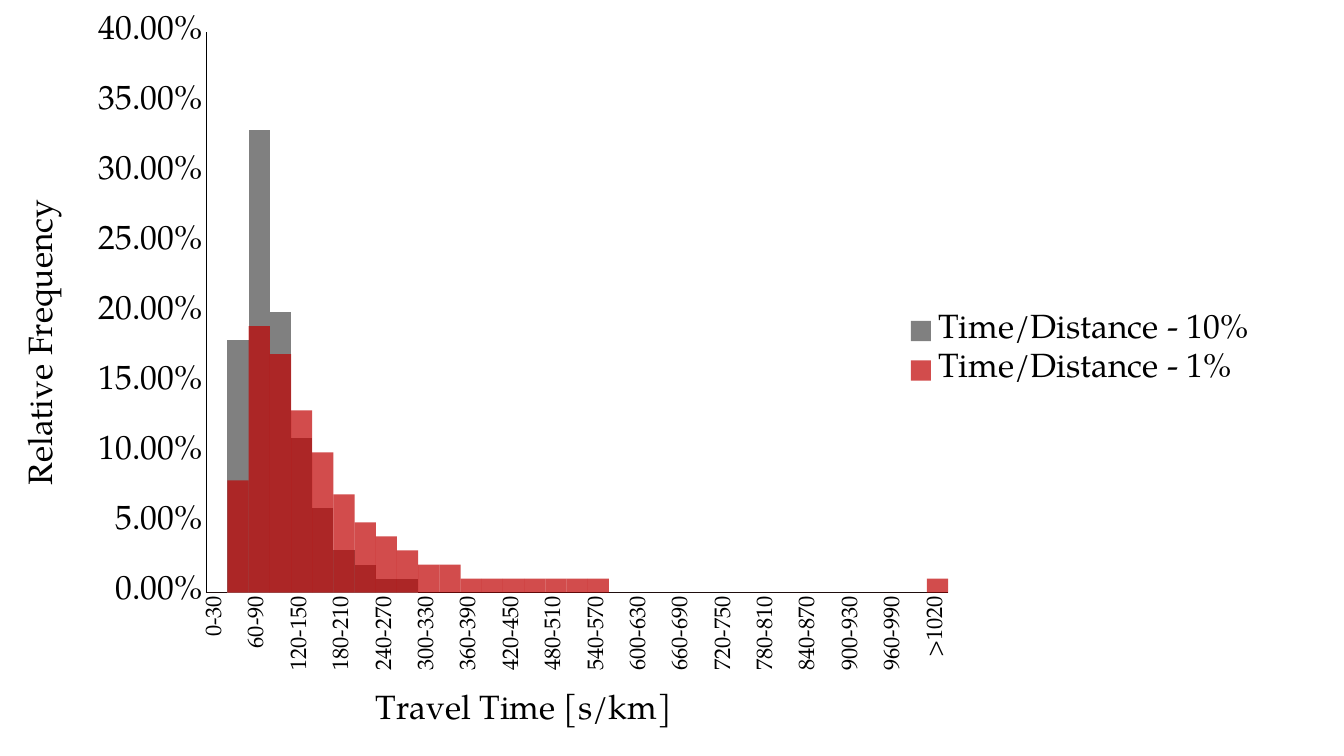
from dataclasses import dataclass

from lxml import etree
from pptx import Presentation
from pptx import util as u
from pptx.chart.data import CategoryChartData
from pptx.dml.color import RGBColor
from pptx.enum import chart as c
from pptx.oxml import ns


@dataclass(frozen=True)
class Theme:
    """Hold the colours, font and type sizes of the slide."""
    ink: str = "000000"
    sample_ten: str = "808080"
    sample_one: str = "C00000"
    font: str = "TeX Gyre Pagella"
    large: int = 24
    small: int = 16


THEME = Theme()
BIN_WIDTH = 30
LAST_BIN = 1020
TEN_PERCENT = [0, 0.18, 0.33, 0.2, 0.11, 0.06, 0.03, 0.02, 0.01, 0.01] + [0] * 25
ONE_PERCENT = [0, 0.08, 0.19, 0.17, 0.13, 0.1, 0.07, 0.05, 0.04, 0.03, 0.02,
               0.02] + [0.01] * 7 + [0] * 15 + [0.01]


def style_font(font, size):
    """Apply the theme's typeface and ink at a size."""
    font.name = THEME.font
    font.size = u.Pt(size)
    font.bold = False
    font.color.rgb = RGBColor.from_string(THEME.ink)


def place(element, **percentages):
    """Fix a chart part at percentages of the chart's size."""
    for layout in element.findall(ns.qn("c:layout")):
        element.remove(layout)
    layout = etree.Element(ns.qn("c:layout"))
    manual = etree.SubElement(layout, ns.qn("c:manualLayout"))
    is_plot = element.tag == ns.qn("c:plotArea")
    settings = {"layoutTarget": "inner"} if is_plot else {}
    settings.update(xMode="edge", yMode="edge")
    settings.update({name: value / 100 for name, value in percentages.items()})
    for name, value in settings.items():
        etree.SubElement(manual, ns.qn(f"c:{name}")).set("val", str(value))
    element.insert(0 if is_plot else 1, layout)


def format_axis(axis, title, size, line_width, x, y):
    """Title an axis and set its line and labels."""
    axis.has_major_gridlines = False
    axis.major_tick_mark = axis.minor_tick_mark = c.XL_TICK_MARK.NONE
    axis.format.line.color.rgb = RGBColor.from_string(THEME.ink)
    axis.format.line.width = u.Pt(line_width)
    style_font(axis.tick_labels.font, size)
    run = axis.axis_title.text_frame.paragraphs[0].add_run()
    run.text = title
    style_font(run.font, THEME.large)
    place(axis.axis_title._element, x=x, y=y)


def thin_labels(axis, step):
    """Turn category labels upright and show one in each step."""
    element = axis._element
    element.find(f"{ns.qn('c:txPr')}/{ns.qn('a:bodyPr')}").set("rot", "-5400000")
    skip = etree.Element(ns.qn("c:tickLblSkip"), val=str(step))
    element.find(ns.qn("c:noMultiLvlLbl")).addprevious(skip)


def fill_series(series, color, opacity):
    """Fill a series with a colour at a percentage of opacity."""
    series.format.fill.solid()
    series.format.fill.fore_color.rgb = RGBColor.from_string(color)
    series.invert_if_negative = False
    if opacity < 100:
        fill = series._element.find(f".//{ns.qn('a:srgbClr')}")
        etree.SubElement(fill, ns.qn("a:alpha")).set("val", str(opacity * 1000))


def travel_time_data():
    """Build the binned frequencies of both samples."""
    data = CategoryChartData(number_format="0.00%")
    data.categories = [f"{start}-{start + BIN_WIDTH}"
                       for start in range(0, LAST_BIN, BIN_WIDTH)] + [f">{LAST_BIN}"]
    data.add_series("Time/Distance - 10%", TEN_PERCENT)
    data.add_series("Time/Distance - 1%", ONE_PERCENT)
    return data


def add_histogram(slide, width, height):
    """Add the overlapping histogram across the slide."""
    chart = slide.shapes.add_chart(c.XL_CHART_TYPE.COLUMN_CLUSTERED, 0, 0,
                                   width, height, travel_time_data()).chart
    chart.has_title = False
    plot = chart.plots[0]
    plot.gap_width, plot.overlap, plot.vary_by_categories = 0, 100, False
    fill_series(plot.series[0], THEME.sample_ten, 100)
    fill_series(plot.series[1], THEME.sample_one, 70)
    format_axis(chart.category_axis, "Travel Time [s/km]", THEME.small, 0.75,
                x=27.5, y=90.6)
    thin_labels(chart.category_axis, 2)
    values = chart.value_axis
    format_axis(values, "Relative Frequency", THEME.large, 0.5, x=1.35, y=25.6)
    values.minimum_scale, values.maximum_scale, values.major_unit = 0, 0.4, 0.05
    values.tick_labels.number_format = "0.00%"
    values.tick_labels.number_format_is_linked = False
    chart.has_legend = True
    chart.legend.position = c.XL_LEGEND_POSITION.RIGHT
    chart.legend.include_in_layout = False
    style_font(chart.legend.font, THEME.large)
    place(chart.legend._element, x=66.85, y=40.8, w=27, h=11.2)
    plot_area = chart._chartSpace.find(f".//{ns.qn('c:plotArea')}")
    place(plot_area, x=15.35, y=4.2, w=55.2, h=74.2)


def main():
    """Create the travel time slide."""
    presentation = Presentation()
    presentation.slide_width = u.Inches(13.33)
    presentation.slide_height = u.Inches(7.5)
    slide = presentation.slides.add_slide(presentation.slide_layouts[6])
    add_histogram(slide, presentation.slide_width, presentation.slide_height)
    presentation.save("out.pptx")


if __name__ == "__main__":
    main()
